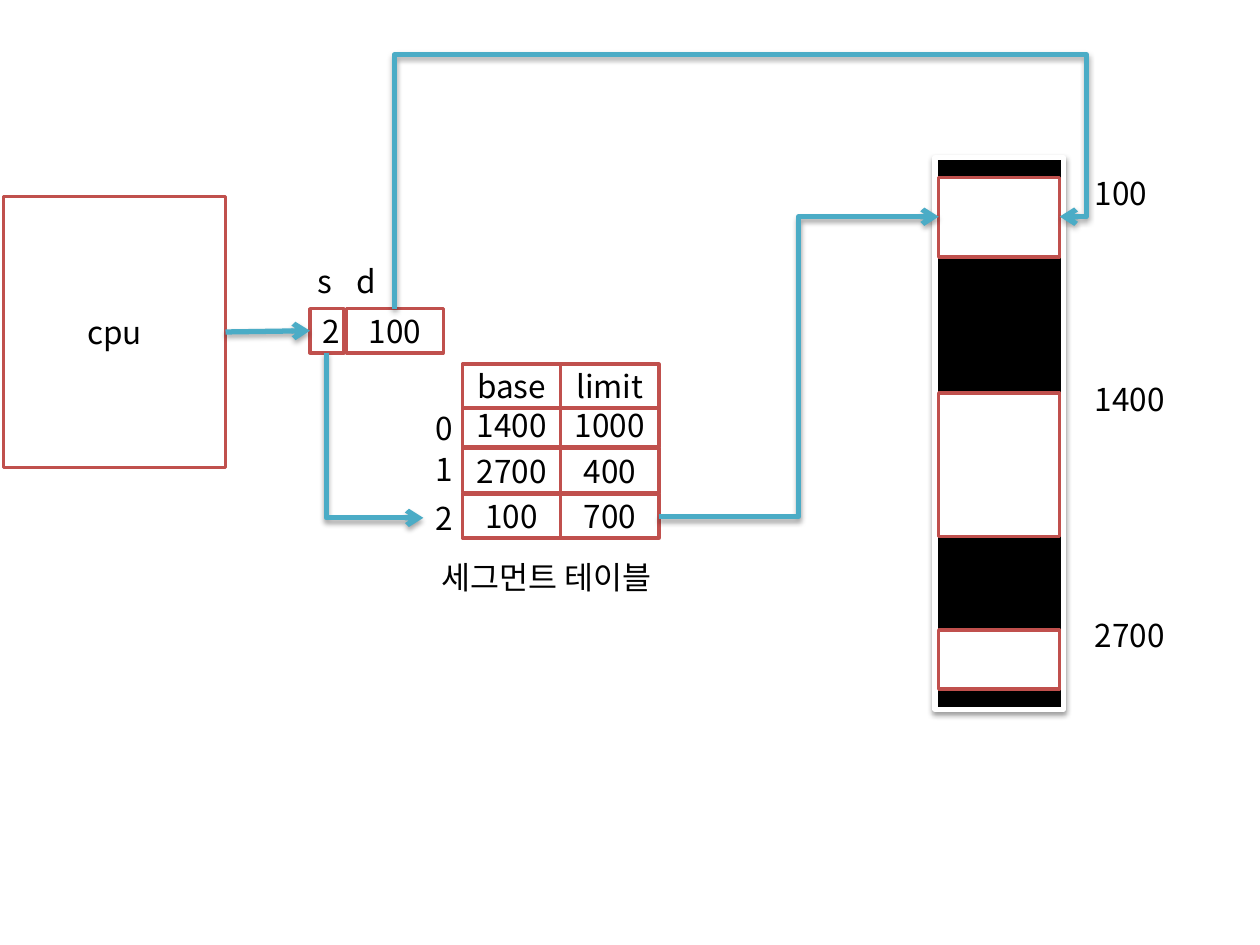
from math import cos, radians, sin

from lxml import etree
from pptx import Presentation
from pptx.dml.color import RGBColor
from pptx.enum.shapes import MSO_CONNECTOR, MSO_SHAPE
from pptx.enum.text import MSO_ANCHOR, MSO_AUTO_SIZE, PP_ALIGN
from pptx.oxml.ns import qn
from pptx.util import Inches, Pt

RECT = MSO_SHAPE.RECTANGLE
STRAIGHT, ELBOW = MSO_CONNECTOR.STRAIGHT, MSO_CONNECTOR.ELBOW
MIDDLE, CENTER, LEFT = MSO_ANCHOR.MIDDLE, PP_ALIGN.CENTER, PP_ALIGN.LEFT
FIT_SHAPE = MSO_AUTO_SIZE.SHAPE_TO_FIT_TEXT
FONT = "Noto Sans CJK KR"
BLACK, WHITE, RED, TEAL = "000000", "FFFFFF", "C0504D", "4BACC6"


def color(value):
    return RGBColor.from_string(value)


def child(parent, tag, **attrs):
    return etree.SubElement(parent, qn(tag), attrs)


def add_shadow(effects, alpha, distance):
    """Cast a soft black shadow straight down; alpha in percent, distance in points."""
    shadow = child(effects, "a:outerShdw", blurRad=str(Pt(3.1)), dist=str(Pt(distance)),
                   dir="5400000", rotWithShape="0")
    black = child(shadow, "a:srgbClr", val=BLACK)
    child(black, "a:alpha", val=str(alpha * 1000))


def write(tf, text, align):
    p = tf.paragraphs[0]
    p.alignment = align
    r = p.add_run()
    r.text = text
    for name, value in {"name": FONT, "size": Pt(18)}.items():
        setattr(r.font, name, value)
    r.font.color.rgb = color(BLACK)
    child(r.font._element, "a:ea", typeface=FONT)


def add_box(s, left, top, width, height, text="", fill=WHITE, line=RED, weight=2):
    sp = s.shapes.add_shape(RECT, *map(Inches, (left, top, width, height)))
    sp.shadow.inherit = False
    sp.fill.solid()
    sp.fill.fore_color.rgb = color(fill)
    sp.line.color.rgb = color(line)
    sp.line.width = Pt(weight)
    if text:
        sp.text_frame.vertical_anchor = MIDDLE
        write(sp.text_frame, text, CENTER)
    return sp


def add_label(s, left, top, width, text, wrap=False):
    tf = s.shapes.add_textbox(*map(Inches, (left, top, width, 0.4))).text_frame
    tf.word_wrap = wrap
    tf.auto_size = FIT_SHAPE
    write(tf, text, LEFT)


def add_arrow(s, kind, start, end):
    cxn = s.shapes.add_connector(kind, *map(Inches, (*start, *end)))
    cxn.line.color.rgb = color(TEAL)
    cxn.line.width = Pt(3)
    child(cxn.line._get_or_add_ln(), "a:tailEnd", type="arrow")
    add_shadow(child(cxn._element.spPr, "a:effectLst"), 35, 1.8)
    return cxn


def add_elbow(s, start, end, bends=1, turn=0, adjust=()):
    """Bent arrow between two points, its preset turned clockwise by turn degrees."""
    cx, cy = (start[0] + end[0]) / 2, (start[1] + end[1]) / 2
    c, n = cos(radians(turn)), sin(radians(turn))
    ends = [(cx + (x - cx) * c + (y - cy) * n, cy - (x - cx) * n + (y - cy) * c)
            for x, y in (start, end)]
    cxn = add_arrow(s, ELBOW, *ends)
    spPr = cxn._element.spPr
    spPr.find(qn("a:xfrm")).set("rot", str(turn * 60000))
    geometry = spPr.find(qn("a:prstGeom"))
    geometry.set("prst", f"bentConnector{bends + 1}")
    guides = geometry.find(qn("a:avLst"))
    for i, share in enumerate(adjust, 1):
        child(guides, "a:gd", name=f"adj{i}", fmla=f"val {round(share * 100000)}")


def add_memory(s, left, top, width, height):
    block = add_box(s, left, top, width, height, fill=BLACK, line=WHITE, weight=3)
    add_shadow(block._element.spPr.find(qn("a:effectLst")), 38, 1.6)
    for offset, size, rise, address in ((0.16, 0.63, 0.08, "100"),
                                        (1.87, 1.14, 0.15, "1400"),
                                        (3.75, 0.47, 0.16, "2700")):
        add_box(s, left + 0.03, top + offset, width - 0.06, size)
        add_label(s, left + 1.17, top + offset - rise, 1.02, address, wrap=True)


def add_address(s, left, top):
    """Logical address: segment number and offset; returns the segment box."""
    segment = add_box(s, left, top, 0.27, 0.35, "2")
    add_box(s, left + 0.29, top, 0.77, 0.35, "100")
    add_label(s, left - 0.04, top - 0.42, 0.31, "s")
    add_label(s, left + 0.27, top - 0.42, 0.35, "d")
    return segment


def add_segment_table(s, left, top):
    col, row = 0.78, 0.35
    rows = [("1400", "1000"), ("2700", "400"), ("100", "700")]
    for i, values in enumerate(rows):
        for j, value in enumerate(values):
            add_box(s, left + j * col, top + 0.31 + i * 0.36, col, row, value)
    for j, heading in enumerate(("base", "limit")):
        add_box(s, left + j * col, top, col, row, heading)
    for i, offset in enumerate((0.31, 0.63, 1.02)):
        add_label(s, left - 0.31, top + offset, 0.34, str(i))
    add_label(s, left - 0.26, top + 1.49, 2.06, "세그먼트 테이블")


def main():
    prs = Presentation()
    prs.slide_width, prs.slide_height = Inches(10), Inches(7.5)
    s = prs.slides.add_slide(prs.slide_layouts[6])

    add_memory(s, 7.42, 1.25, 1.02, 4.38)
    cpu = add_box(s, 0.03, 1.56, 1.76, 2.15, "cpu")
    segment = add_address(s, 2.46, 2.45)
    add_segment_table(s, 3.67, 2.89)

    request = add_arrow(s, STRAIGHT, (1.79, 2.64), (2.46, 2.63))
    request.begin_connect(cpu, 3)
    request.end_connect(segment, 1)
    add_elbow(s, (2.59, 2.8), (3.36, 4.11), bends=1, turn=270)
    add_elbow(s, (5.23, 4.1), (7.45, 1.72), bends=2, adjust=(0.5,))
    add_elbow(s, (3.13, 2.45), (8.41, 1.72), bends=3, turn=90, adjust=(2.76, 1.04))

    prs.save("out.pptx")


if __name__ == "__main__":
    main()
